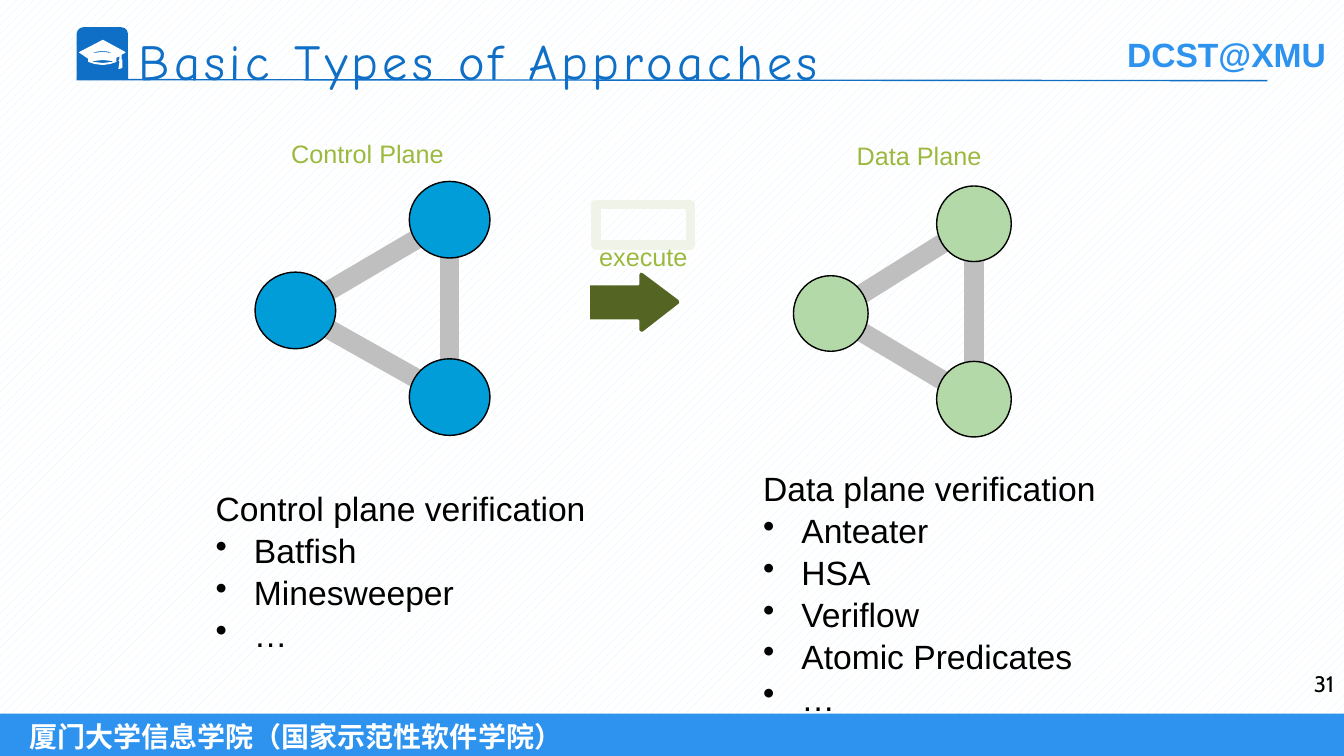
import dataclasses

import pptx
import pptx.dml.color
import pptx.enum.dml
import pptx.enum.shapes
import pptx.enum.text
import pptx.oxml.ns
import pptx.util
from lxml import etree

Inches = pptx.util.Inches
Pt = pptx.util.Pt
SHAPE = pptx.enum.shapes.MSO_SHAPE
ALIGN = pptx.enum.text.PP_ALIGN
ANCHOR = pptx.enum.text.MSO_ANCHOR
HUNDREDTH_INCH = Inches(0.01)
NARROW = 0.02


def rgb(value):
    return pptx.dml.color.RGBColor.from_string(value)


def set_all(target, values):
    for name, value in values.items():
        setattr(target, name, value)


@dataclasses.dataclass(frozen=True)
class Theme:
    white: str = "FFFFFF"
    black: str = "000000"
    sky: str = "2D93EF"
    navy: str = "0F6FC6"
    backdrop: str = "DBEFF9"
    link: str = "BFBFBF"
    control: str = "009DD9"
    data: str = "B4D9A8"
    label: str = "9CB93E"
    frame: str = "F0F3E7"
    arrow: str = "546422"
    body_font: str = "Arial"
    title_font: str = "Comic Neue"
    number_font: str = "Cabin"
    title_size: int = 36
    body_size: int = 24
    footer_size: int = 20
    label_size: int = 18
    number_size: int = 16


class SlideBuilder:
    def __init__(self, slide, theme):
        self.slide = slide
        self.theme = theme

    def paint(self, shape, fill=None, line=None, width=1):
        shape.shadow.inherit = False
        for part, color in ((shape.fill, fill), (shape.line.fill, line)):
            if color:
                part.solid()
                part.fore_color.rgb = rgb(color)
            else:
                part.background()
        if line:
            shape.line.width = Pt(width)
        return shape

    def shape(self, kind, box, fill=None, line=None, width=1, parent=None):
        shapes = (parent or self.slide).shapes
        return self.paint(shapes.add_shape(kind, *map(Inches, box)), fill, line, width)

    def outline(self, contours, fill, line, width):
        """Draw closed contours whose points are in hundredths of an inch."""
        first, *others = contours
        builder = self.slide.shapes.build_freeform(*first[0], scale=HUNDREDTH_INCH)
        builder.add_line_segments(first[1:], close=True)
        for contour in others:
            builder.move_to(*contour[0])
            builder.add_line_segments(contour[1:], close=True)
        return self.paint(builder.convert_to_shape(), fill, line, width)

    def line(self, start, end, color, width, parent=None):
        connector = (parent or self.slide).shapes.add_connector(
            pptx.enum.shapes.MSO_CONNECTOR.STRAIGHT, *map(Inches, (*start, *end)))
        connector.line.color.rgb = rgb(color)
        connector.line.width = Pt(width)
        etree.SubElement(connector._element.spPr, pptx.oxml.ns.qn("a:effectLst"))

    def text(self, box, lines, size, color, font=None, bold=False, align=ALIGN.LEFT,
             inset=0.1, anchor=ANCHOR.TOP, spacing=1.0):
        """Add a text box; every line after the first is a bullet."""
        frame = self.slide.shapes.add_textbox(*map(Inches, box)).text_frame
        set_all(frame, {"word_wrap": True, "vertical_anchor": anchor,
                        "margin_left": Inches(inset), "margin_right": Inches(inset)})
        runs = []
        for index, line in enumerate(lines):
            paragraph = frame.add_paragraph() if index else frame.paragraphs[0]
            if index:
                self.bullet(paragraph)
            set_all(paragraph, {"alignment": align, "line_spacing": spacing})
            run = paragraph.add_run()
            run.text = line
            set_all(run.font, {"name": font or self.theme.body_font,
                               "size": Pt(size), "bold": bold})
            run.font.color.rgb = rgb(color)
            runs.append(run)
        return runs

    def bullet(self, paragraph):
        properties = paragraph._p.get_or_add_pPr()
        properties.set("marL", str(Inches(0.38)))
        properties.set("indent", str(-Inches(0.38)))
        etree.SubElement(properties, pptx.oxml.ns.qn("a:buChar"), char="•")

    def label(self, box, wording):
        self.text(box, [wording], self.theme.label_size, self.theme.label,
                  align=ALIGN.CENTER, inset=NARROW)

    def topology(self, centers, size, color):
        """Draw a fully linked group of nodes, with links ending inside the nodes."""
        group = self.slide.shapes.add_group_shape()
        trim = 0.12
        for index, (x1, y1) in enumerate(centers):
            x2, y2 = centers[(index + 1) % len(centers)]
            dx, dy = (x2 - x1) * trim, (y2 - y1) * trim
            self.line((x1 + dx, y1 + dy), (x2 - dx, y2 - dy), self.theme.link, 14, group)
        width, height = size
        for x, y in centers:
            self.shape(SHAPE.OVAL, (x - width / 2, y - height / 2, width, height),
                       color, self.theme.black, parent=group)

    def header_and_footer(self):
        theme = self.theme
        backdrop = self.shape(SHAPE.RECTANGLE, (0, 0, 13.33, 7.5))
        backdrop.fill.patterned()
        backdrop.fill.pattern = pptx.enum.dml.MSO_PATTERN.PERCENT_20
        backdrop.fill.fore_color.rgb = rgb(theme.backdrop)
        backdrop.fill.back_color.rgb = rgb(theme.white)

        footer = (0, 7.08, 13.33, 0.44)
        self.shape(SHAPE.RECTANGLE, footer, theme.sky)
        self.text(footer, ["厦门大学信息学院（国家示范性软件学院）"], theme.footer_size,
                  theme.white, bold=True, inset=0.29, anchor=ANCHOR.MIDDLE)

        department, = self.text((11.08, 0.29, 2.2, 0.5), ["DCST@XMU"],
                                theme.body_size, theme.sky, bold=True)
        gradient = department.font.fill
        gradient.gradient()
        gradient.gradient_angle = 270
        for stop, color in zip(gradient.gradient_stops, (theme.sky, theme.navy)):
            stop.color.rgb = rgb(color)

        badge = self.shape(SHAPE.ROUND_2_SAME_RECTANGLE, (0.76, 0.27, 0.51, 0.52), theme.navy)
        badge.adjustments[0] = 0.13
        cap = [(120, 59), (120, 54), (124, 52), (102, 40), (79, 52), (88, 58), (88, 61),
               (94, 63), (102, 64), (109, 63), (115, 61), (115, 57), (119, 55), (119, 59),
               (118, 60), (119, 61), (120, 61), (121, 60)]
        cap_base = [(102, 63), (93, 62), (90, 61), (93, 60), (102, 59), (111, 60),
                    (114, 61), (111, 62)]
        cap_band = [(115, 55), (110, 53), (102, 52), (93, 53), (88, 55), (88, 54),
                    (94, 51), (102, 50), (109, 51), (115, 54)]
        tassel = [(119, 61), (118, 68), (121, 67), (121, 61)]
        self.outline([cap, cap_base, cap_band, tassel], theme.white, theme.white, 0.75)
        self.line((0.76, 0.79), (12.57, 0.8), theme.navy, 1)


def main():
    presentation = pptx.Presentation()
    set_all(presentation, {"slide_width": Inches(13.33), "slide_height": Inches(7.5)})
    theme = Theme()
    page = SlideBuilder(presentation.slides.add_slide(presentation.slide_layouts[6]), theme)
    page.header_and_footer()

    title, = page.text((1.28, 0.25, 9.96, 1.15), ["Basic Types of Approaches"],
                       theme.title_size, theme.navy, theme.title_font)
    title.font._element.set("spc", "300")
    page.text((12.56, 6.6, 0.77, 0.5), ["31"], theme.number_size, theme.black,
              theme.number_font, align=ALIGN.RIGHT)

    page.topology([(8.24, 3.11), (9.66, 2.22), (9.66, 3.96)], (0.74, 0.75), theme.data)
    page.topology([(2.93, 3.08), (4.46, 2.18), (4.46, 3.94)], (0.8, 0.76), theme.control)

    execute_arrow = [(638, 270), (635, 269), (633, 272), (633, 282), (584, 282), (584, 318),
                     (633, 318), (633, 328), (635, 330), (638, 330), (674, 302), (675, 300),
                     (674, 297)]
    page.outline([execute_arrow], theme.arrow, theme.white, 1.5)
    page.shape(SHAPE.RECTANGLE, (5.91, 2.03, 0.94, 0.4), line=theme.frame, width=7)

    page.label((2.46, 1.32, 2.37, 0.4), "Control Plane")
    page.label((8.24, 1.34, 1.75, 0.4), "Data Plane")
    page.label((5.84, 2.34, 1.08, 0.4), "execute")

    verification = {
        (2.04, 4.78, 4.18, 1.72): ["Control plane verification", "Batfish", "Minesweeper", "…"],
        (7.47, 4.58, 3.77, 2.52): ["Data plane verification", "Anteater", "HSA", "Veriflow",
                                   "Atomic Predicates", "…"],
    }
    for box, lines in verification.items():
        page.text(box, lines, theme.body_size, theme.black, spacing=1.04)

    presentation.save("out.pptx")


if __name__ == "__main__":
    main()
